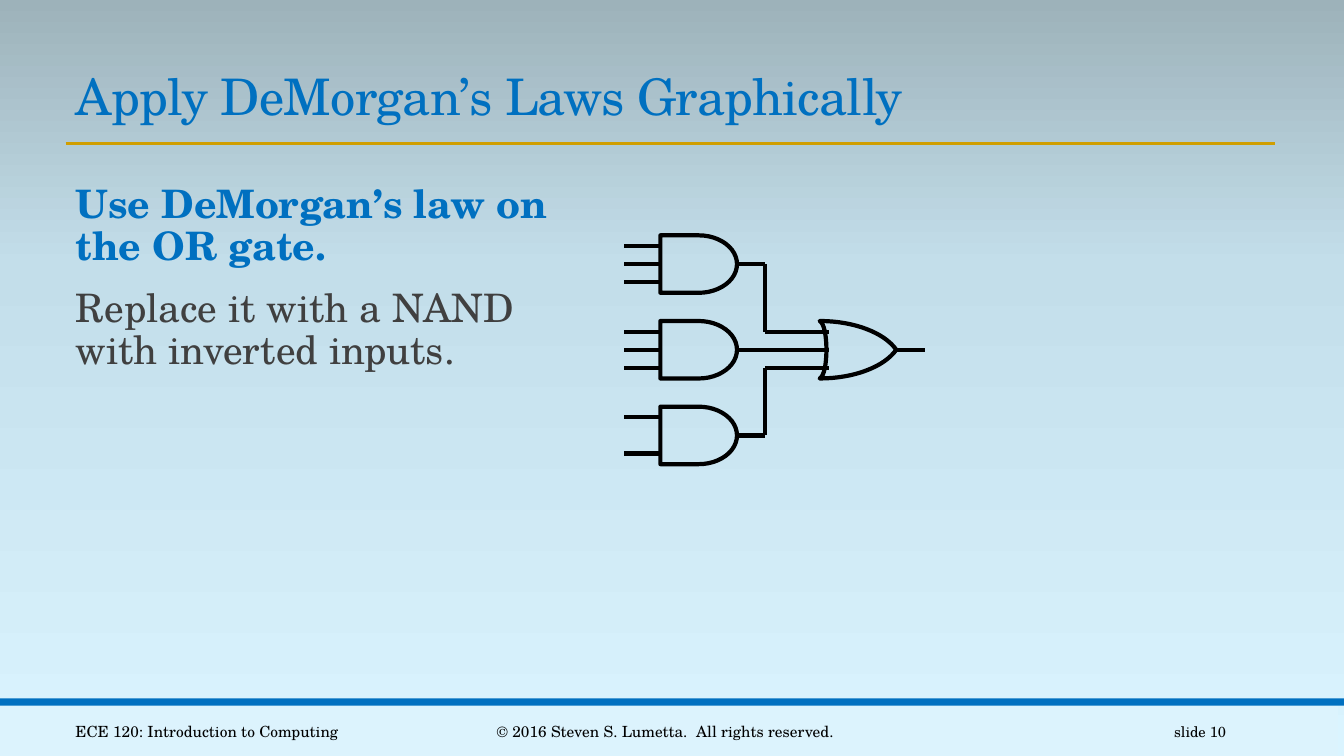
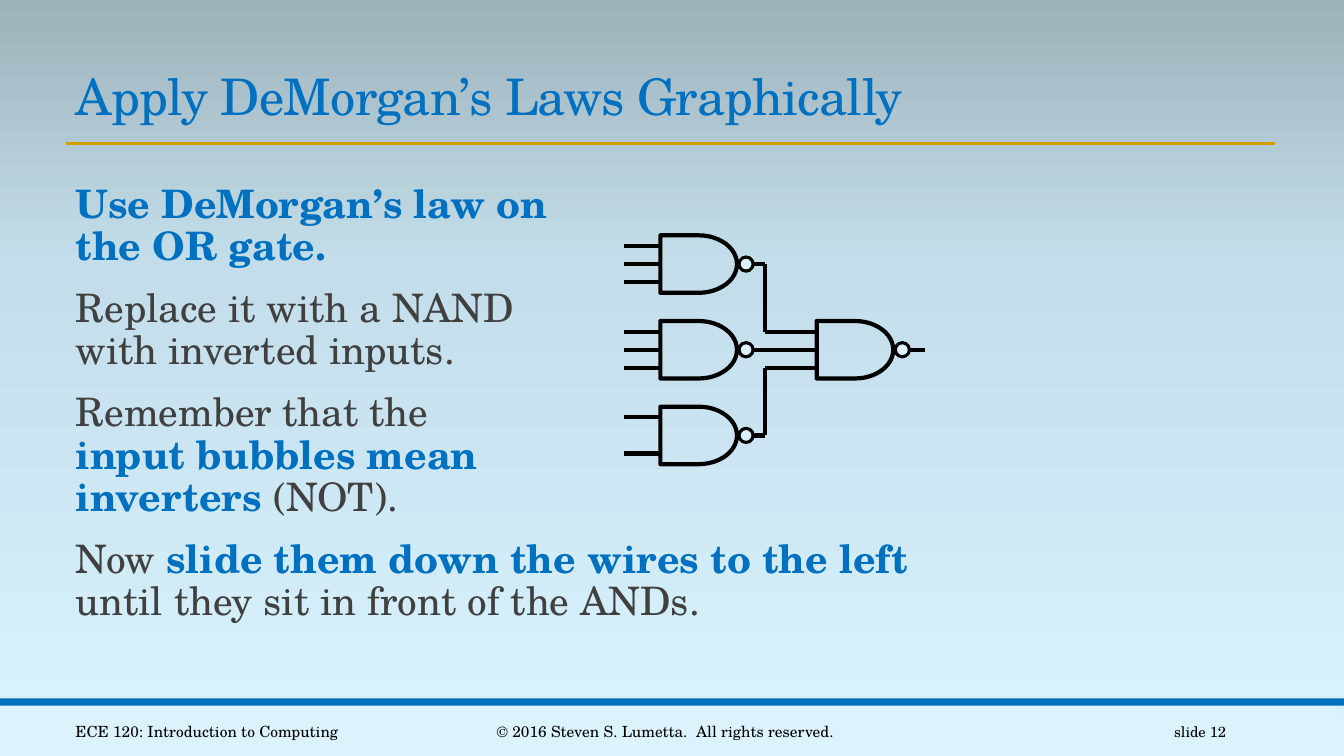
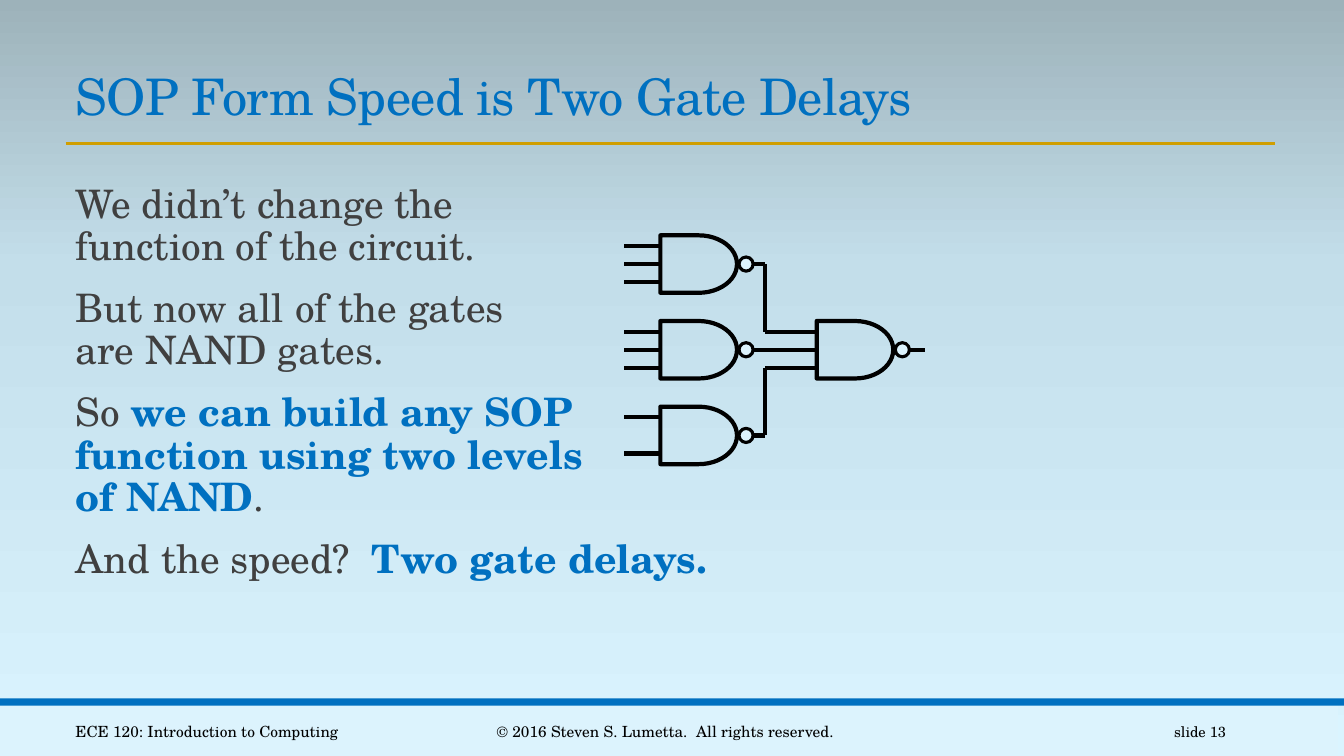
from dataclasses import dataclass

from lxml import etree
from pptx import Presentation
from pptx.dml.color import RGBColor
from pptx.enum.shapes import MSO_CONNECTOR, MSO_SHAPE
from pptx.enum.text import MSO_ANCHOR, PP_ALIGN
from pptx.oxml.ns import qn
from pptx.util import Inches, Pt

STRAIGHT = MSO_CONNECTOR.STRAIGHT
RECT, OVAL, DELAY = MSO_SHAPE.RECTANGLE, MSO_SHAPE.OVAL, MSO_SHAPE.FLOWCHART_DELAY
TOP, MIDDLE, BOTTOM = MSO_ANCHOR.TOP, MSO_ANCHOR.MIDDLE, MSO_ANCHOR.BOTTOM
LEFT, CENTER, RIGHT = PP_ALIGN.LEFT, PP_ALIGN.CENTER, PP_ALIGN.RIGHT
LEFT_SIDE, RIGHT_SIDE = 1, 3


@dataclass(frozen=True)
class Theme:
    font: str = "TeX Gyre Schola"
    accent: str = "0070C0"
    body: str = "404040"
    ink: str = "000000"
    rule: str = "D09E00"
    pale: str = "DCF3FD"
    sky: tuple = ((0, "DAF4FF"), (65, "C3DEEA"), (100, "9DB2BA"))
    title_size: float = 36
    body_size: float = 28
    footer_size: float = 11
    number_size: float = 10.5
    wire: float = 3
    bubble_line: float = 2.25


THEME = Theme()
WIDTH, HEIGHT = 13.33, 7.5
MARGIN = 0.65

# Content: *...* marks emphasis, a newline is a line break
DEMORGAN = "Apply DeMorgan’s Laws Graphically"
USE_LAW = "*Use DeMorgan’s law on\nthe OR gate.*"
REPLACE = "Replace it with a NAND\nwith inverted inputs."
COURSE = "ECE 120: Introduction to Computing"
COPYRIGHT = "© 2016 Steven S. Lumetta.  All rights reserved."

SLIDES = [
    dict(number=10, title=DEMORGAN, nand=False, body=[USE_LAW, REPLACE]),
    dict(number=12, title=DEMORGAN, nand=True, body=[
        USE_LAW,
        REPLACE,
        "Remember that the\n*input bubbles mean\ninverters *(NOT).",
        "Now *slide them down the wires to the left *until they sit in front of the ANDs.",
    ]),
    dict(number=13, title="SOP Form Speed is Two Gate Delays", nand=True, body=[
        "We didn’t change the\nfunction of the circuit.",
        "But now all of the gates\nare NAND gates.",
        "So *we can build any SOP\nfunction using two levels\nof NAND*.",
        "And the speed?  *Two gate delays.*",
    ]),
]

# Circuit grid, in inches
INPUT_COUNTS = (3, 3, 2)
GATE_W, GATE_H = 0.76, 0.57
GATE_X, FIRST_ROW, ROW_PITCH = 6.55, 2.62, 0.85
INPUT_X, CORNER_X, OUTPUT_X = 6.19, 7.59, 9.17
NAND_X, OR_X, OR_WIRE_X = 8.1, 8.13, 8.22
PIN_GAP = 0.18
BUBBLE = 0.14


def color(code):
    return RGBColor.from_string(code)


def add_wire(slide, start, end, line_color=THEME.ink, width=THEME.wire):
    wire = slide.shapes.add_connector(STRAIGHT, *map(Inches, start + end))
    wire.line.color.rgb = color(line_color)
    wire.line.width = Pt(width)
    etree.SubElement(wire._element.spPr, qn("a:effectLst"))
    return wire


def add_block(slide, kind, box, fill=None, line=None):
    block = slide.shapes.add_shape(kind, *map(Inches, box))
    style_block(block, fill, line)
    return block


def style_block(block, fill, line):
    block.shadow.inherit = False
    if fill:
        block.fill.solid()
        block.fill.fore_color.rgb = color(fill)
    else:
        block.fill.background()
    if line:
        block.line.color.rgb = color(THEME.ink)
        block.line.width = Pt(line)
    else:
        block.line.fill.background()


def add_text(slide, box, text, size, ink, anchor=MIDDLE, align=LEFT):
    frame = slide.shapes.add_textbox(*map(Inches, box)).text_frame
    frame.word_wrap = True
    frame.vertical_anchor = anchor
    frame.text = text
    paragraph = frame.paragraphs[0]
    paragraph.alignment = align
    for run in paragraph.runs:
        style_run(run, size, ink)
    return frame


def style_run(run, size, ink, bold=False):
    run.font.name = THEME.font
    run.font.size = Pt(size)
    run.font.bold = bold
    run.font.color.rgb = color(ink)


def add_frame(slide, title, number):
    # Sky background
    fill = slide.background.fill
    fill.gradient()
    fill.gradient_angle = 90
    stops = slide.element.find(".//" + qn("a:gsLst"))
    for stop in list(stops):
        stops.remove(stop)
    for position, code in THEME.sky:
        stop = etree.SubElement(stops, qn("a:gs"), pos=str(position * 1000))
        etree.SubElement(stop, qn("a:srgbClr"), val=code)

    # Footer bands and title rule
    add_block(slide, RECT, (-0.06, 7, WIDTH, 0.5), THEME.pale)
    add_block(slide, RECT, (0, 6.93, WIDTH, 0.07), THEME.accent)
    add_wire(slide, (MARGIN, 1.42), (12.65, 1.42), THEME.rule, 2)

    # Title
    heading = add_text(slide, (MARGIN, 0.59, 12.01, 0.71), title,
                       THEME.title_size, THEME.accent, BOTTOM).paragraphs[0]
    heading.line_spacing = 0.85
    heading.runs[0].font._element.set("spc", "-50")

    # Footer texts
    footers = (
        (MARGIN, 3.25, COURSE, THEME.footer_size, LEFT),
        (4.03, 5.14, COPYRIGHT, THEME.footer_size, CENTER),
        (10.83, 1.43, f"slide {number}", THEME.number_size, RIGHT),
    )
    for left, width, text, size, align in footers:
        add_text(slide, (left, 7.06, width, 0.4), text, size, THEME.ink, align=align)


def add_body(slide, statements):
    frame = add_text(slide, (MARGIN, 1.78, 8.52, 4.64), "", THEME.body_size, THEME.body, TOP)
    frame.margin_left = frame.margin_right = 0
    for index, statement in enumerate(statements):
        paragraph = frame.add_paragraph() if index else frame.paragraphs[0]
        paragraph.line_spacing = 0.9
        paragraph.space_before, paragraph.space_after = Pt(12), Pt(2)
        paragraph._p.get_or_add_pPr().set("marL", str(Inches(0.1)))
        for part, phrase in enumerate(statement.split("*")):
            bold = part % 2 == 1
            for row, words in enumerate(phrase.split("\n")):
                if row:
                    paragraph.add_line_break()
                if words:
                    run = paragraph.add_run()
                    run.text = words
                    style_run(run, THEME.body_size, THEME.accent if bold else THEME.body, bold)


def add_gate(slide, left, middle):
    return add_block(slide, DELAY, (left, middle - GATE_H / 2, GATE_W, GATE_H), line=THEME.wire)


def bezier(*points, steps=16):
    for step in range(steps + 1):
        t = step / steps
        weights = ((1 - t) ** 3, 3 * t * (1 - t) ** 2, 3 * t * t * (1 - t), t ** 3)
        yield tuple(sum(w * p[axis] for w, p in zip(weights, points)) for axis in (0, 1))


def add_or_gate(slide, middle):
    half, tip = GATE_H / 2, OR_X + GATE_W

    def edge(side):
        return bezier((OR_X, middle + side * half), (OR_X + 0.34, middle + side * half),
                      (tip - 0.12, middle + side * 0.17), (tip, middle))

    back = bezier((OR_X, middle + half), (OR_WIRE_X, middle + half - 0.04),
                  (OR_WIRE_X, middle - half + 0.04), (OR_X, middle - half))
    outline = [*edge(-1), *reversed(list(edge(1))), *back]
    corners = [(Inches(x), Inches(y)) for x, y in outline]
    builder = slide.shapes.build_freeform(*corners[0])
    builder.add_line_segments(corners[1:], close=True)
    style_block(builder.convert_to_shape(), None, THEME.wire)


def add_circuit(slide, nand):
    middles = [FIRST_ROW + row * ROW_PITCH for row in range(len(INPUT_COUNTS))]
    center = middles[1]
    final_x = NAND_X if nand else OR_X
    wire_end = NAND_X if nand else OR_WIRE_X
    final_right = final_x + GATE_W

    # Second level gate and its output
    output = add_wire(slide, (final_right, center), (OUTPUT_X, center))
    if nand:
        final = add_gate(slide, final_x, center)
        output.begin_connect(final, RIGHT_SIDE)
    else:
        add_or_gate(slide, center)

    # First level gates, their inputs and the wires onward
    for row, (middle, count) in enumerate(zip(middles, INPUT_COUNTS)):
        gate = add_gate(slide, GATE_X, middle)
        for pin in (-1, 0, 1) if count == 3 else (-1, 1):
            y = middle + pin * PIN_GAP
            lead = add_wire(slide, (GATE_X, y), (INPUT_X, y))
            if pin == 0:
                lead.begin_connect(gate, LEFT_SIDE)
        entry = center + (row - 1) * PIN_GAP
        bend = wire_end if row == 1 else CORNER_X
        onward = add_wire(slide, (GATE_X + GATE_W, middle), (bend, middle))
        onward.begin_connect(gate, RIGHT_SIDE)
        if row != 1:
            add_wire(slide, (CORNER_X, middle), (CORNER_X, entry))
            add_wire(slide, (CORNER_X, entry), (wire_end, entry))
        elif nand:
            onward.end_connect(final, LEFT_SIDE)

    # Inversion bubbles
    if nand:
        spots = [(GATE_X + GATE_W, middle) for middle in middles] + [(final_right, center)]
        for right, middle in spots:
            add_block(slide, OVAL, (right + 0.02, middle - BUBBLE / 2, BUBBLE, BUBBLE),
                      THEME.pale, THEME.bubble_line)


def main():
    deck = Presentation()
    deck.slide_width, deck.slide_height = Inches(WIDTH), Inches(HEIGHT)
    for content in SLIDES:
        slide = deck.slides.add_slide(deck.slide_layouts[6])
        add_frame(slide, content["title"], content["number"])
        add_body(slide, content["body"])
        add_circuit(slide, content["nand"])
    deck.save("out.pptx")


if __name__ == "__main__":
    main()
